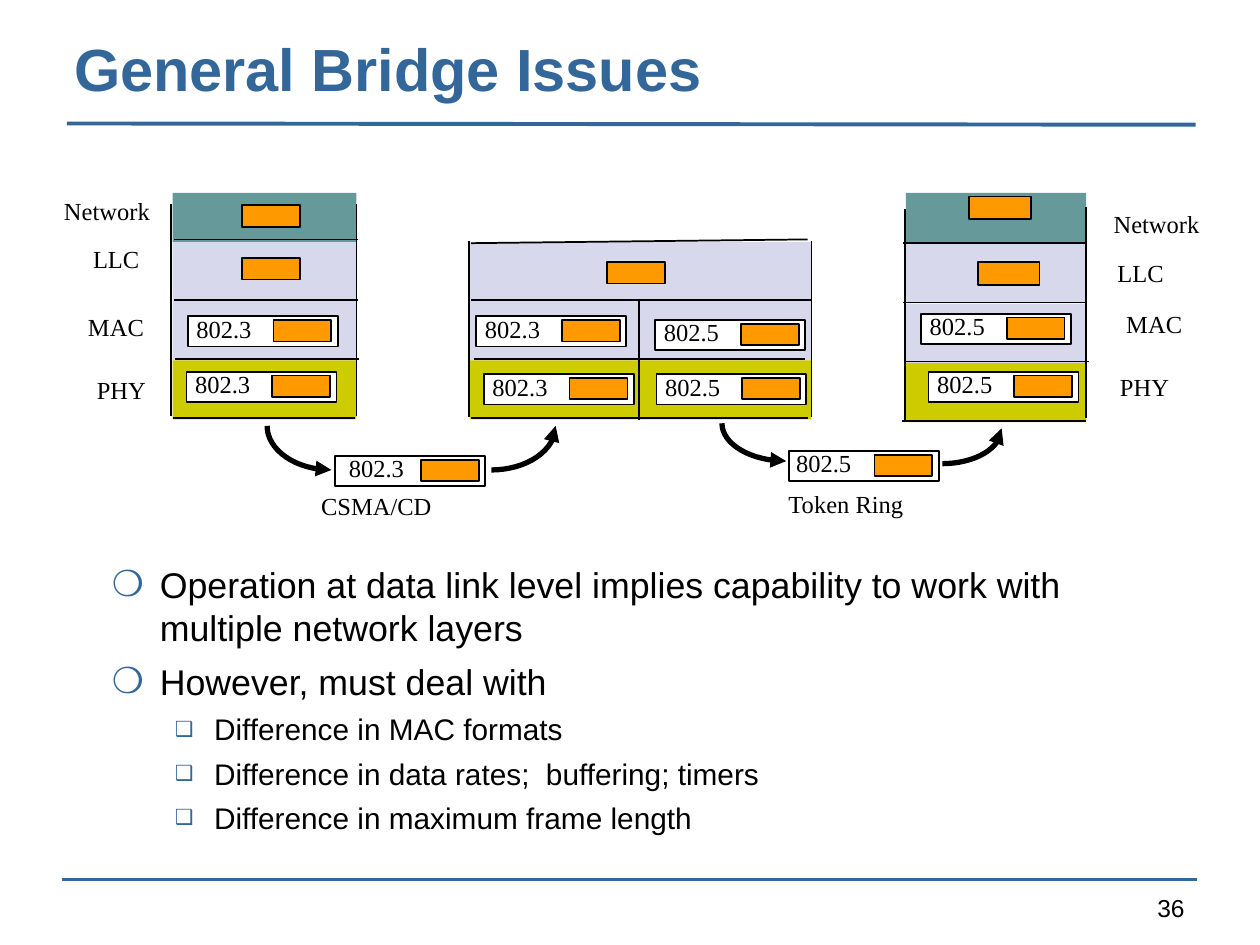
"""Build the slide on general bridge issues: three protocol stacks joined by two links."""
from math import cos, pi, sin
from lxml.etree import SubElement
from pptx import Presentation
from pptx.dml.color import RGBColor
from pptx.enum.shapes import MSO_CONNECTOR, MSO_SHAPE
from pptx.enum.text import MSO_ANCHOR, PP_ALIGN
from pptx.oxml.ns import qn
from pptx.util import Inches, Pt

COLOURS = {"rule": "336699", "ink": "000000", "frame": "FFFFFF", "packet": "FF9900",
           "network": "669999", "link": "D8D8EC", "phy": "CCCC00"}
RGB = {role: RGBColor.from_string(value) for role, value in COLOURS.items()}
LABEL = {"name": "Times New Roman", "size": Pt(14), "bold": False}
NUMBER = {"name": "Arial", "size": Pt(14), "bold": False}
TITLE = {"name": "Arial", "size": Pt(34), "bold": True}
POINT = {"name": "Arial", "size": Pt(20.4), "bold": False}
SUBPOINT = {"name": "Arial", "size": Pt(17), "bold": False}

deck = Presentation()
deck.slide_width, deck.slide_height = Inches(10), Inches(7.5)
COL, ROW = deck.slide_width / 100, deck.slide_height / 75
slide = deck.slides.add_slide(deck.slide_layouts[6])


def add_block(left, top, width, height, fill, outlined=False):
    block = slide.shapes.add_shape(MSO_SHAPE.RECTANGLE, int(left * COL), int(top * ROW),
                                   int(width * COL), int(height * ROW))
    block.shadow.inherit = False
    block.fill.solid()
    block.fill.fore_color.rgb = RGB[fill]
    if outlined:
        block.line.color.rgb = RGB["ink"]
        block.line.width = Pt(1)
    else:
        block.line.fill.background()


def add_words(text, left, top, width, height, style, colour="ink", wrap=False):
    box = slide.shapes.add_textbox(int(left * COL), int(top * ROW),
                                   int(width * COL), int(height * ROW))
    box.text_frame.word_wrap = wrap
    line = box.text_frame.paragraphs[0]
    line.text = text
    for key, value in style.items():
        setattr(line.font, key, value)
    line.font.color.rgb = RGB[colour]
    return box.text_frame


for left, width, tops in [(13.7, 14.6, (19.2, 23.9, 28.6)), (37.3, 13.5, (19.2, 23.9, 28.6)),
                          (50.6, 13.8, (19.2, 23.9, 28.6)), (71.9, 14.3, (19.3, 24.1, 28.8))]:
    for top, layer in zip(tops, ("link", "link", "phy")):
        add_block(left, top, width, 4.7, layer)
for left, width in [(13.7, 14.6), (71.9, 14.3)]:
    add_block(left, 15.3, width, 3.9, "network")

left_stack = [(13.6, 16.2, 13.6, 33), (28.3, 16.2, 28.3, 33), (13.7, 33.2, 28.2, 33.2),
              (13.9, 28.5, 28.5, 28.5), (13.8, 23.8, 28.4, 23.8), (13.8, 19, 28.4, 19)]
bridge = [(37.2, 19.1, 37.2, 33.1), (64.4, 19.1, 64.4, 33.1), (50.7, 23.8, 50.7, 33.3),
          (37.4, 19.3, 64.1, 19), (37.4, 23.8, 64.4, 23.8),
          (37.6, 28.5, 63.9, 28.5), (37.4, 33.2, 64.1, 33.2)]
right_stack = [(71.8, 16.6, 71.8, 33.4), (86.2, 16.4, 86.2, 33.2), (71.6, 33.4, 86.2, 33.4),
               (71.9, 28.7, 86.4, 28.7), (71.7, 24, 86.3, 24), (71.7, 19.3, 86.3, 19.3)]
borders = [(ends, "ink", 1) for ends in left_stack + bridge + right_stack]
rules = [((5.3, 9.8, 94.9, 9.9), "rule", 2.25), ((4.9, 69.8, 95, 69.8), "rule", 1.5)]
for (x1, y1, x2, y2), colour, weight in rules + borders:
    border = slide.shapes.add_connector(MSO_CONNECTOR.STRAIGHT, int(x1 * COL), int(y1 * ROW),
                                        int(x2 * COL), int(y2 * ROW))
    border.line.color.rgb = RGB[colour]
    border.line.width = Pt(weight)
    SubElement(border._element.spPr, qn("a:effectLst"))

for left, top, width, height in [(19.2, 16.3, 4.6, 1.7), (19.2, 20.5, 4.6, 1.7),
                                 (48.2, 20.8, 4.6, 1.7), (77.6, 20.8, 4.9, 1.8),
                                 (76.9, 15.6, 4.9, 1.8)]:
    add_block(left, top, width, height, "packet", True)

for left, top, protocol, shift in [
        (14.9, 25.1, "802.3", -0.3), (14.8, 29.5, "802.3", -0.3),
        (37.8, 25.1, "802.3", -0.3), (38.4, 29.7, "802.3", -0.3),
        (52, 25.4, "802.5", -0.3), (52.1, 29.7, "802.5", -0.3),
        (73.1, 24.9, "802.5", -0.3), (73.7, 29.5, "802.5", -0.3),
        (26.6, 36.2, "802.3", 0.1), (62.6, 35.8, "802.5", -0.4)]:
    add_block(left, top, 11.9, 2.4, "frame", True)
    add_block(left + 6.8, top + 0.3, 4.6, 1.7, "packet", True)
    add_words(protocol, left + shift, top - 0.7, 6.6, 3.3, LABEL)

for text, left, top, width in [
        ("Network", 4.1, 15.1, 9), ("LLC", 6.4, 18.9, 6),
        ("MAC", 6, 24.3, 7), ("PHY", 6.7, 29.3, 6.2),
        ("Network", 87.4, 16.1, 9), ("LLC", 87.7, 20, 6),
        ("MAC", 88.4, 24, 7), ("PHY", 87.9, 29, 6.2),
        ("CSMA/CD", 24.5, 38.5, 11), ("Token Ring", 61.6, 38.3, 11.4)]:
    add_words(text, left, top, width, 3.3, LABEL)

STEPS = 16
for centre_x, centre_y, radius_x, radius_y, start in [
        (26.3, 33.8, 5.1, 3.5, pi / 2), (39, 33.8, 5.1, 3.5, 0),
        (62.4, 33.6, 5.1, 3, pi / 2), (74.8, 34, 4.7, 2.8, 0)]:
    angles = [start + step * pi / 2 / STEPS for step in range(STEPS + 1)]
    curve = [(int((centre_x + radius_x * cos(angle)) * COL),
              int((centre_y + radius_y * sin(angle)) * ROW)) for angle in angles]
    pen = slide.shapes.build_freeform(*curve[0])
    pen.add_line_segments(curve[1:], close=False)
    hop = pen.convert_to_shape()
    hop.shadow.inherit = False
    hop.fill.background()
    hop.line.color.rgb = RGB["ink"]
    hop.line.width = Pt(3)
    SubElement(hop._element.spPr.find(qn("a:ln")), qn("a:headEnd"), type="triangle")

heading = add_words("General Bridge Issues", 4.9, 1.9, 90.2, 6.8, TITLE, "rule", True)
heading.vertical_anchor = MSO_ANCHOR.BOTTOM
page = add_words("36", 71.7, 70.4, 23.3, 2.9, NUMBER, wrap=True)
page.paragraphs[0].alignment = PP_ALIGN.RIGHT

issues = slide.shapes.add_textbox(int(7.9 * COL), int(44.2 * ROW),
                                  int(84.9 * COL), int(23.1 * ROW)).text_frame
issues.word_wrap = True
LEVELS = [{"style": POINT, "bullet": "❍", "size": 100, "margin": 3.8, "hang": 3.8, "before": 6},
          {"style": SUBPOINT, "bullet": "❑", "size": 70, "margin": 8.1, "hang": 3.1, "before": 5}]
for index, (level, text) in enumerate([
        (0, "Operation at data link level implies capability to work with multiple network layers"),
        (0, "However, must deal with"),
        (1, "Difference in MAC formats"),
        (1, "Difference in data rates;  buffering; timers"),
        (1, "Difference in maximum frame length")]):
    look = LEVELS[level]
    issue = issues.add_paragraph() if index else issues.paragraphs[0]
    issue.text = text
    issue.level = level
    properties = issue._p.get_or_add_pPr()
    properties.set("marL", str(int(look["margin"] * COL)))
    properties.set("indent", str(int(-look["hang"] * COL)))
    SubElement(SubElement(properties, qn("a:buClr")), qn("a:srgbClr"), val=COLOURS["rule"])
    SubElement(properties, qn("a:buSzPct"), val=str(look["size"] * 1000))
    SubElement(properties, qn("a:buFont"), typeface="Arial")
    SubElement(properties, qn("a:buChar"), char=look["bullet"])
    issue.space_before = Pt(look["before"] if index else 0)
    for key, value in look["style"].items():
        setattr(issue.font, key, value)
    issue.font.color.rgb = RGB["ink"]

deck.save("out.pptx")
